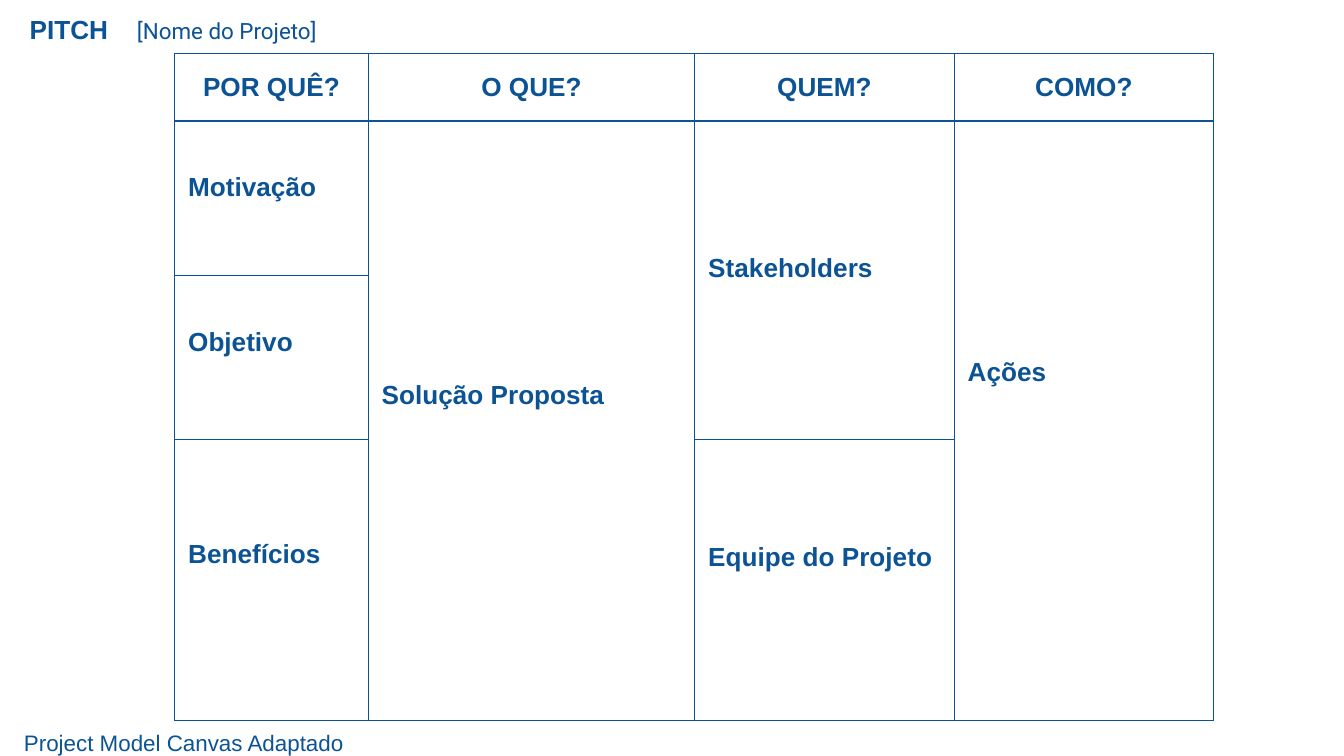
from lxml.etree import SubElement as Sub
from pptx import Presentation as Deck
from pptx.dml.color import RGBColor as Rgb
from pptx.enum.text import MSO_ANCHOR as Anchor, MSO_AUTO_SIZE as Fit, PP_ALIGN as Align
from pptx.oxml.ns import qn
from pptx.util import Inches as In, Pt

HUES = {"blue": "0B5394"}
WIDE = 10
HIGH = WIDE * 9 / 16
LEFT, TOP = 1.3, 0.4
COLS = [1.44, 2.43, 1.93, 1.93]
ROWS = [0.5, 1.15, 1.22, 2.09]
PAD = 0.1
HEADS = ["POR QUÊ?", "O QUE?", "QUEM?", "COMO?"]
PARTS = [
    dict(row=1, col=0, text="Motivação", lift=0.08),
    dict(row=2, col=0, text="Objetivo", lift=0.11),
    dict(row=3, col=0, text="Benefícios", lift=0.19),
    dict(row=1, col=1, span=3, text="Solução Proposta", lift=0.19),
    dict(row=1, col=2, span=2, text="Stakeholders", lift=0.09),
    dict(row=3, col=2, text="Equipe do Projeto", lift=0.17),
    dict(row=1, col=3, span=3, text="Ações", lift=0.36),
]


def write(frame, text, size=14, font="Arial", bold=True, align=Align.LEFT):
    frame.word_wrap = True
    par = frame.paragraphs[0]
    par.alignment = align
    run = par.add_run()
    run.text = text
    run.font.size = Pt(size)
    run.font.name = font
    run.font.bold = bold
    run.font.color.rgb = Rgb.from_string(HUES["blue"])


def label(box, text, **style):
    frame = box.text_frame
    frame.auto_size = Fit.NONE
    frame.vertical_anchor = Anchor.TOP
    frame.margin_left = frame.margin_right = In(0.1)
    frame.margin_top = frame.margin_bottom = In(0.05)
    write(frame, text, **style)


def title(slide, text):
    box = slide.shapes.title
    box.left, box.top, box.width, box.height = map(In, (0.12, 0.05, 1.18, 0.3))
    label(box, text)


def note(slide, area, text, **style):
    box = slide.shapes.add_textbox(*map(In, area))
    label(box, text, size=12, bold=False, **style)


def edge(cell):
    cell.fill.background()
    props = cell._tc.get_or_add_tcPr()
    for spot, side in enumerate(("lnL", "lnR", "lnT", "lnB")):
        line = Sub(props, qn(f"a:{side}"), w=str(Pt(0.75)))
        fill = Sub(line, qn("a:solidFill"))
        Sub(fill, qn("a:srgbClr"), val=HUES["blue"])
        props.insert(spot, line)


def fill_in(cell, text, lift=0, align=Align.LEFT):
    cell.vertical_anchor = Anchor.MIDDLE
    cell.margin_left = cell.margin_right = cell.margin_top = In(PAD)
    cell.margin_bottom = In(PAD + 2 * lift)
    write(cell.text_frame, text, align=align)


def part(grid, row, col, text, lift, span=1):
    cell = grid.cell(row, col)
    if span > 1:
        cell.merge(grid.cell(row + span - 1, col))
    fill_in(cell, text, lift)


def canvas(slide):
    area = map(In, (LEFT, TOP, sum(COLS), sum(ROWS)))
    grid = slide.shapes.add_table(len(ROWS), len(COLS), *area).table
    grid.first_row = grid.horz_banding = False
    for col, width in zip(grid.columns, COLS):
        col.width = In(width)
    for row, height in zip(grid.rows, ROWS):
        row.height = In(height)
    for cell in grid.iter_cells():
        edge(cell)
    for col, head in enumerate(HEADS):
        fill_in(grid.cell(0, col), head, align=Align.CENTER)
    for item in PARTS:
        part(grid, **item)


def main():
    deck = Deck()
    deck.slide_width, deck.slide_height = In(WIDE), In(HIGH)
    slide = deck.slides.add_slide(deck.slide_layouts[5])
    title(slide, "PITCH")
    note(slide, (0.92, 0.08, 8.15, 0.25), "[Nome do Projeto]", font="Roboto")
    note(slide, (0.08, HIGH - 0.25, 3.86, 0.25), "Project Model Canvas Adaptado")
    canvas(slide)
    deck.save("out.pptx")


if __name__ == "__main__":
    main()
